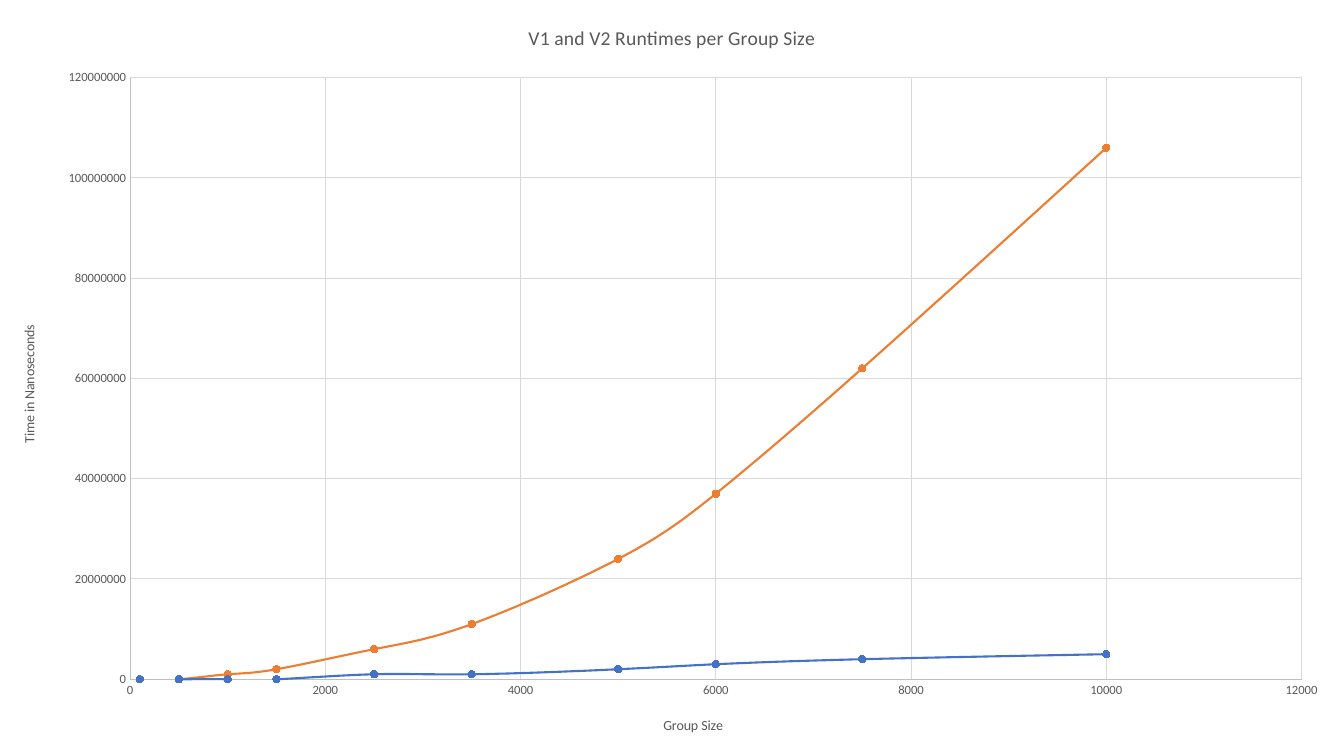
from dataclasses import dataclass

from lxml.etree import SubElement
from pptx import Presentation
from pptx.chart.axis import ValueAxis
from pptx.chart.chart import Chart
from pptx.chart.data import XyChartData
from pptx.chart.series import XySeries
from pptx.dml.color import RGBColor
from pptx.enum.chart import XL_CHART_TYPE, XL_MARKER_STYLE, XL_TICK_MARK
from pptx.oxml.ns import qn
from pptx.text.text import Font, TextFrame
from pptx.util import Inches, Length, Pt

BLUE = RGBColor(0x44, 0x72, 0xC4)
ORANGE = RGBColor(0xED, 0x7D, 0x31)
TEXT_GRAY = RGBColor(0x59, 0x59, 0x59)
AXIS_GRAY = RGBColor(0xBF, 0xBF, 0xBF)
GRID_GRAY = RGBColor(0xD9, 0xD9, 0xD9)
FONT_NAME = "Calibri"
SLIDE_WIDTH = Inches(13.33)
SLIDE_HEIGHT = Inches(7.5)
GROUP_SIZES = (100, 500, 1000, 1500, 2500, 3500, 5000, 6000, 7500, 10000)
MILLION = 1_000_000


@dataclass(frozen=True)
class Runtime:
    name: str
    color: RGBColor
    millions: tuple[int, ...]


@dataclass(frozen=True)
class AxisSpec:
    title: str
    maximum: int
    step: int
    rotation: int


RUNTIMES = (
    Runtime("Series 1", BLUE, (0, 0, 0, 0, 1, 1, 2, 3, 4, 5)),
    Runtime("Series 2", ORANGE, (0, 0, 1, 2, 6, 11, 24, 37, 62, 106)),
)
GROUP_AXIS = AxisSpec("Group Size", 12_000, 2_000, 0)
TIME_AXIS = AxisSpec("Time in Nanoseconds", 120 * MILLION, 20 * MILLION, -5_400_000)


def style_font(font: Font, size: float) -> None:
    font.name = FONT_NAME
    font.size = Pt(size)
    font.bold = False
    font.color.rgb = TEXT_GRAY


def write_title(frame: TextFrame, text: str, size: float, rotation: int = 0) -> None:
    run = frame.paragraphs[0].add_run()
    run.text = text
    style_font(run.font, size)
    body = frame._txBody.find(qn("a:bodyPr"))
    body.set("rot", str(rotation))
    body.set("vert", "horz")


def style_axis(axis: ValueAxis, spec: AxisSpec) -> None:
    axis.minimum_scale = 0
    axis.maximum_scale = spec.maximum
    axis.major_unit = spec.step
    axis.major_tick_mark = XL_TICK_MARK.NONE
    axis.minor_tick_mark = XL_TICK_MARK.NONE
    axis.has_major_gridlines = True
    axis.major_gridlines.format.line.color.rgb = GRID_GRAY
    axis.major_gridlines.format.line.width = Pt(0.75)
    axis.format.line.color.rgb = AXIS_GRAY
    axis.format.line.width = Pt(0.75)
    axis.tick_labels.number_format = "General"
    axis.tick_labels.number_format_is_linked = False
    style_font(axis.tick_labels.font, 9)
    write_title(axis.axis_title.text_frame, spec.title, 10, spec.rotation)


def style_series(series: XySeries, runtime: Runtime) -> None:
    series.format.line.color.rgb = runtime.color
    series.format.line.width = Pt(1.5)
    series.marker.style = XL_MARKER_STYLE.CIRCLE
    series.marker.size = 5
    series.marker.format.fill.solid()
    series.marker.format.fill.fore_color.rgb = runtime.color
    series.marker.format.line.color.rgb = runtime.color
    series._element.get_or_add_smooth().val = True


def place_plot(chart: Chart, left: Length, top: Length, width: Length, height: Length) -> None:
    plot_area = chart._chartSpace.find(f".//{qn('c:plotArea')}")
    layout = plot_area.find(qn("c:layout"))
    if layout is None:
        layout = SubElement(plot_area, qn("c:layout"))
        plot_area.insert(0, layout)
    manual = SubElement(layout, qn("c:manualLayout"))
    settings = {"layoutTarget": "inner", "xMode": "edge", "yMode": "edge",
                "x": left / SLIDE_WIDTH, "y": top / SLIDE_HEIGHT,
                "w": width / SLIDE_WIDTH, "h": height / SLIDE_HEIGHT}
    for tag, value in settings.items():
        SubElement(manual, qn(f"c:{tag}")).set("val", str(value))


def main() -> None:
    presentation = Presentation()
    presentation.slide_width = SLIDE_WIDTH
    presentation.slide_height = SLIDE_HEIGHT
    slide = presentation.slides.add_slide(presentation.slide_layouts[6])

    measurements = XyChartData()
    for runtime in RUNTIMES:
        points = measurements.add_series(runtime.name)
        for size, millions in zip(GROUP_SIZES, runtime.millions):
            points.add_data_point(size, millions * MILLION)

    runtimes = slide.shapes.add_chart(
        XL_CHART_TYPE.XY_SCATTER_SMOOTH, Inches(0), Inches(0),
        SLIDE_WIDTH, SLIDE_HEIGHT, measurements,
    ).chart
    runtimes.has_legend = False
    runtimes.font.name = FONT_NAME
    runtimes.font.size = Pt(10)
    runtimes.has_title = True
    runtimes.chart_title.include_in_layout = False
    write_title(runtimes.chart_title.text_frame, "V1 and V2 Runtimes per Group Size", 14)
    style_axis(runtimes.category_axis, GROUP_AXIS)
    style_axis(runtimes.value_axis, TIME_AXIS)
    runtimes.plots[0].vary_by_categories = False
    for series, runtime in zip(runtimes.plots[0].series, RUNTIMES):
        style_series(series, runtime)
    place_plot(runtimes, Inches(1.29), Inches(0.77), Inches(11.62), Inches(5.97))

    presentation.save("out.pptx")


if __name__ == "__main__":
    main()
